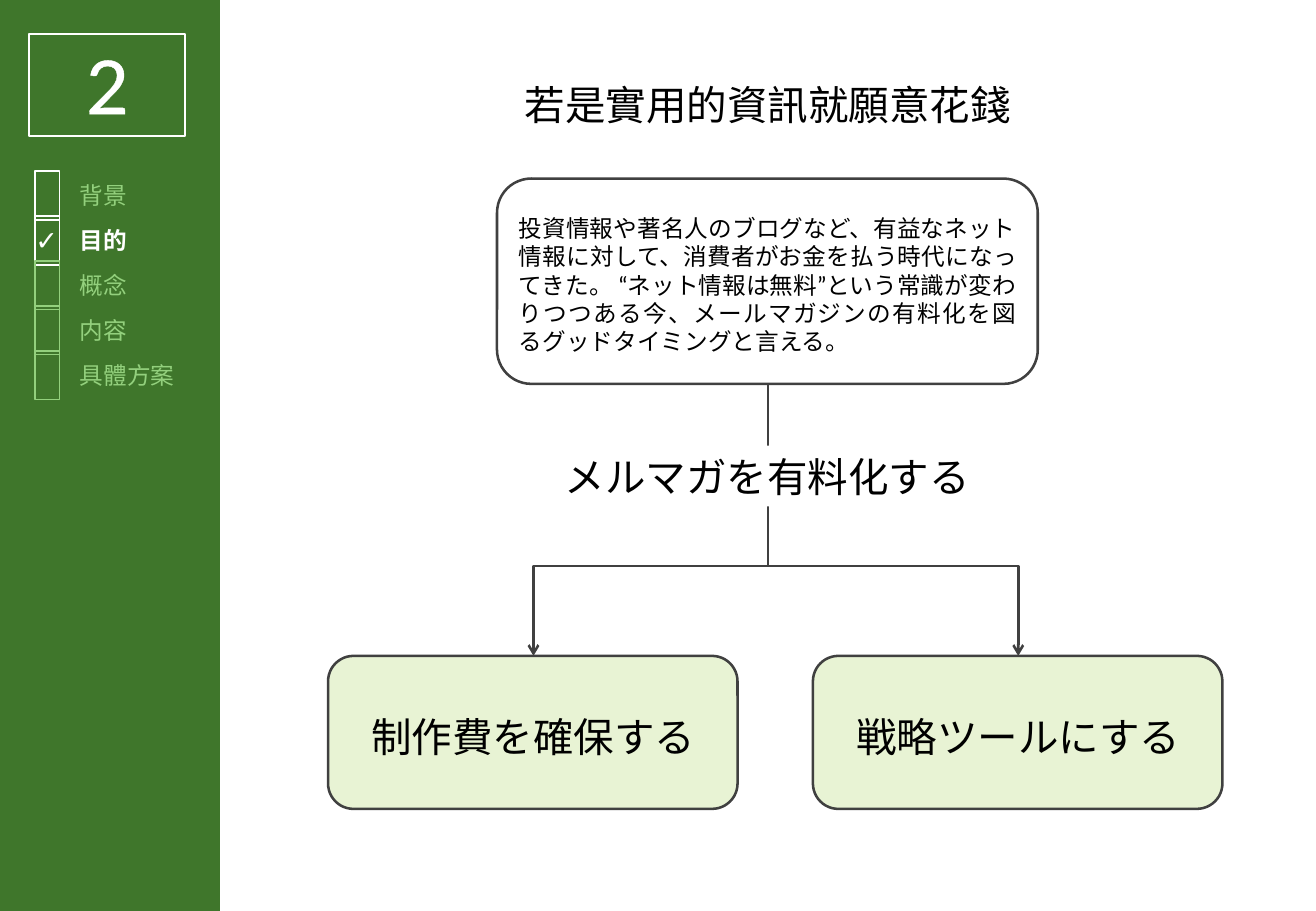
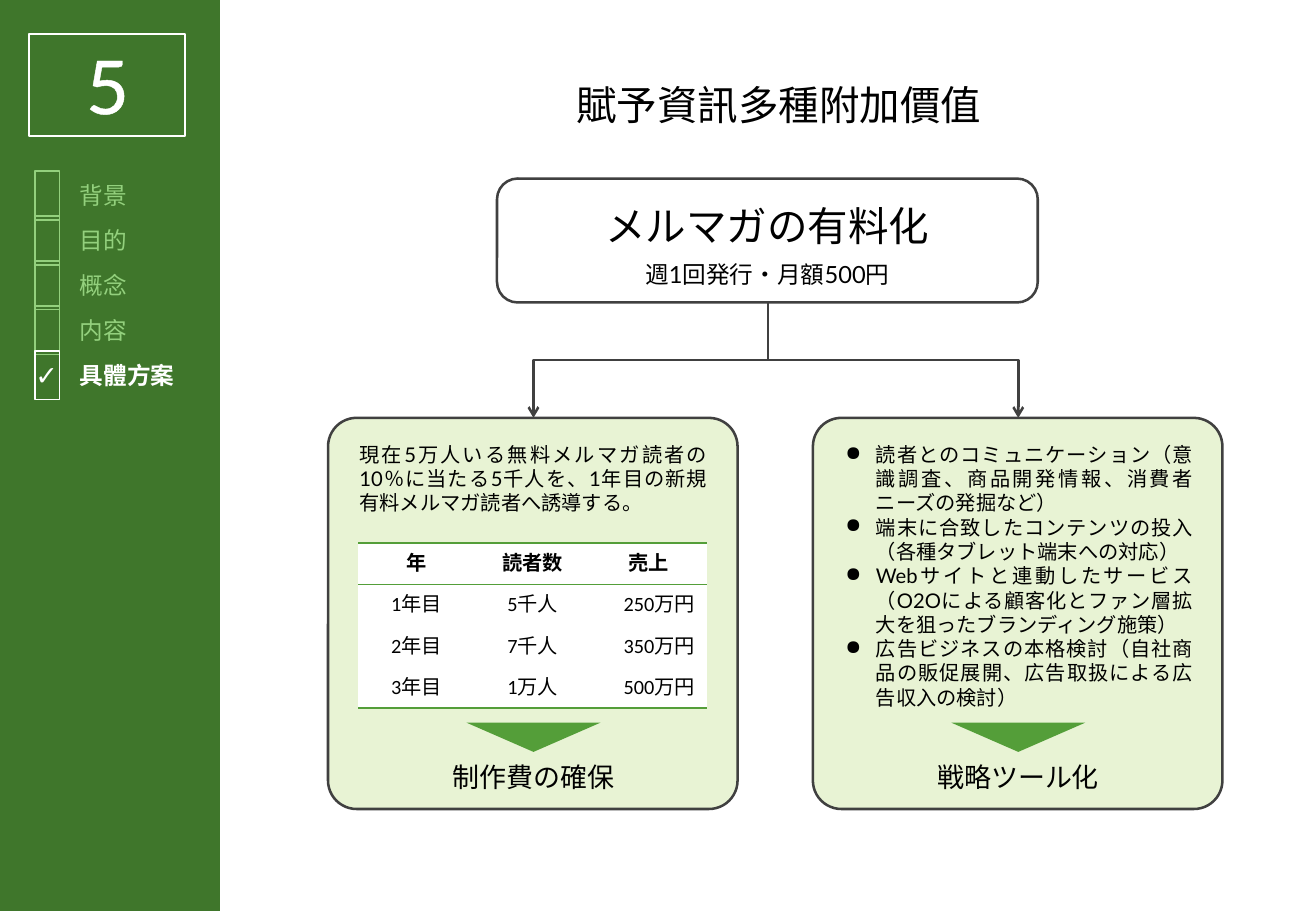
from lxml import etree
from pptx import Presentation
from pptx.dml.color import RGBColor
from pptx.enum.shapes import MSO_CONNECTOR, MSO_SHAPE
from pptx.enum.text import MSO_ANCHOR, MSO_AUTO_SIZE, PP_ALIGN
from pptx.oxml.ns import qn
from pptx.util import Inches, Pt

WHITE, BLACK, GRAY = "FFFFFF", "000000", "404040"
BAND, ACCENT, FADED, PALE = "3F762B", "549E39", "93D07D", "E8F3D4"
LATO, CALIBRI, TITLE_FONT = "Lato", "Calibri", "Noto Sans CJK JP"
NO_STYLE = "{2D5ABB26-0587-4C30-8999-92F81FD0307C}"

STEPS = ["背景", "目的", "概念", "内容", "具體方案"]
STEP_TOP, STEP_PITCH = 1.41, 0.37

TRUNK_X = 6.32
TOP_LEFT, TOP_Y, TOP_WIDTH = 4.09, 1.47, 4.45
BRANCH_LEFTS, BRANCH_WIDTH, BRANCH_BOTTOM = (2.7, 6.69), 3.37, 6.66

PURPOSE = {
    "number": "2", "title": "若是實用的資訊就願意花錢", "title_center": 6.32,
    "step": 1, "white_boxes": {0, 1},
    "reason": "投資情報や著名人のブログなど、有益なネット情報に対して、消費者がお金を払う時代になってきた。"
              " “ネット情報は無料”という常識が変わりつつある今、メールマガジンの有料化を図る"
              "グッドタイミングと言える。",
    "decision": "メルマガを有料化する",
    "goals": ["制作費を確保する", "戦略ツールにする"],
}
PLAN = {
    "number": "5", "title": "賦予資訊多種附加價值", "title_center": 6.41,
    "step": 4, "white_boxes": {4},
    "decision": "メルマガの有料化",
    "terms": "週1回発行・月額500円",
    "target": "現在5万人いる無料メルマガ読者の10％に当たる5千人を、1年目の新規有料メルマガ読者へ誘導する。",
    "sales": [
        ("年", "読者数", "売上"),
        ("1年目", "5千人", "250万円"),
        ("2年目", "7千人", "350万円"),
        ("3年目", "1万人", "500万円"),
    ],
    "tactics": [
        "読者とのコミュニケーション（意識調査、商品開発情報、消費者ニーズの発掘など）",
        "端末に合致したコンテンツの投入（各種タブレット端末への対応）",
        "Webサイトと連動したサービス（O2Oによる顧客化とファン層拡大を狙ったブランディング施策）",
        "広告ビジネスの本格検討（自社商品の販促展開、広告取扱による広告収入の検討）",
    ],
    "results": ["制作費の確保", "戦略ツール化"],
}


def rgb(color):
    return RGBColor.from_string(color)


def add_child(parent, tag, **attributes):
    return etree.SubElement(parent, qn(tag), attributes)


def add_line_xml(parent, tag, color, width):
    line = add_child(parent, tag, w=str(Pt(width)))
    add_child(add_child(line, "a:solidFill"), "a:srgbClr", val=color)
    return line


def format_paragraph(paragraph, size, color=BLACK, font=LATO, bold=False, align=PP_ALIGN.CENTER):
    paragraph.alignment = align
    for run in paragraph.runs:
        run.font.size, run.font.bold, run.font.name = Pt(size), bold, font
        run.font.color.rgb = rgb(color)
        add_child(run.font._element, "a:ea", typeface=font)


def add_text(slide, box, lines, size, bullet=None, **style):
    frame = slide.shapes.add_textbox(*map(Inches, box)).text_frame
    frame.word_wrap = True
    frame.text = lines if isinstance(lines, str) else "\n".join(lines)
    for paragraph in frame.paragraphs:
        if bullet:
            properties = paragraph._p.get_or_add_pPr()
            properties.set("marL", str(Inches(0.25)))
            properties.set("indent", str(Inches(-0.25)))
            add_child(properties, "a:buChar", char=bullet)
        format_paragraph(paragraph, size, **style)
    return frame


def add_box(slide, box, kind=MSO_SHAPE.RECTANGLE, fill=None, line=None, width=1.0, radius=None):
    shape = slide.shapes.add_shape(kind, *map(Inches, box))
    shape.shadow.inherit = False
    if fill:
        shape.fill.solid()
        shape.fill.fore_color.rgb = rgb(fill)
    else:
        shape.fill.background()
    if line:
        shape.line.color.rgb, shape.line.width = rgb(line), Pt(width)
    else:
        shape.line.fill.background()
    if radius is not None:
        shape.adjustments[0] = radius
    return shape


def add_panel(slide, box, fill=None, radius=None):
    add_box(slide, box, MSO_SHAPE.ROUNDED_RECTANGLE, fill, GRAY, 1.5, radius)


def add_branch_arrow(slide, start, end, bend):
    """Elbow arrow that goes down, sideways at the share `bend` of the drop, then down."""
    (x1, y1), (x2, y2) = start, end
    drop, reach = y2 - y1, abs(x2 - x1)
    left, top = (x1 + x2 - drop) / 2, (y1 + y2 - reach) / 2
    ends, turn = (left, left + drop), 90
    if x2 > x1:
        ends, turn = ends[::-1], 270
    arrow = slide.shapes.add_connector(
        MSO_CONNECTOR.ELBOW, Inches(ends[0]), Inches(top), Inches(ends[1]), Inches(top + reach))
    arrow.line.color.rgb, arrow.line.width = rgb(GRAY), Pt(1.5)
    properties = arrow._element.spPr
    properties.find(qn("a:xfrm")).set("rot", str(turn * 60000))
    geometry = properties.find(qn("a:prstGeom"))
    guides = geometry.find(qn("a:avLst"))
    if guides is None:
        guides = add_child(geometry, "a:avLst")
    add_child(guides, "a:gd", name="adj1", fmla=f"val {round(bend * 100000)}")
    add_child(properties.find(qn("a:ln")), "a:tailEnd", type="arrow")
    add_child(properties, "a:effectLst")


def add_branches(slide, top_bottom, branch_top, bend, radius=None):
    for left, tip_x in zip(BRANCH_LEFTS, (4.39, 8.38)):
        add_panel(slide, (left, branch_top, BRANCH_WIDTH, BRANCH_BOTTOM - branch_top), PALE, radius)
        add_branch_arrow(slide, (TRUNK_X, top_bottom), (tip_x, branch_top), bend)
    add_panel(slide, (TOP_LEFT, TOP_Y, TOP_WIDTH, top_bottom - TOP_Y))


def add_sidebar(slide, content):
    add_box(slide, (0, 0, 1.81, 7.5), fill=BAND)
    add_box(slide, (0.24, 0.28, 1.28, 0.84), line=WHITE)
    number = add_text(slide, (0.49, 0.28, 0.79, 0.84), content["number"], 44, color=WHITE)
    run_properties = number.paragraphs[0].runs[0].font._element
    run_properties.insert(0, add_line_xml(run_properties, "a:ln", WHITE, 0.75))
    for index, step in enumerate(STEPS):
        top = STEP_TOP + index * STEP_PITCH
        current = index == content["step"]
        add_text(slide, (0.56, top + 0.03, 1.18, 0.34), step, 14,
                 color=WHITE if current else FADED, bold=current, align=PP_ALIGN.LEFT)
        add_box(slide, (0.29, top, 0.2, 0.4),
                line=WHITE if index in content["white_boxes"] else FADED)
        if current:
            add_text(slide, (0.17, top + 0.01, 0.43, 0.37), "✓", 16, color=WHITE, bold=True)


def start_slide(deck, content):
    slide = deck.slides.add_slide(deck.slide_layouts[5])
    title = slide.shapes.title
    title.left, title.top = Inches(content["title_center"] - 2.7), Inches(0.61)
    title.width, title.height = Inches(5.4), Inches(0.5)
    frame = title.text_frame
    frame.text = content["title"]
    frame.word_wrap, frame.auto_size = True, MSO_AUTO_SIZE.NONE
    frame.vertical_anchor = MSO_ANCHOR.MIDDLE
    format_paragraph(frame.paragraphs[0], 24, font=TITLE_FONT)
    add_sidebar(slide, content)
    return slide


def add_sales_table(slide, sales):
    frame = slide.shapes.add_table(
        len(sales), len(sales[0]), Inches(2.95), Inches(4.47), Inches(2.87), Inches(1.36))
    table = frame.table
    table.horz_banding = False
    table._tbl.tblPr.find(qn("a:tableStyleId")).text = NO_STYLE
    for r, row in enumerate(sales):
        for c, value in enumerate(row):
            cell = table.cell(r, c)
            properties = cell._tc.get_or_add_tcPr()
            if r == 0:
                add_line_xml(properties, "a:lnT", ACCENT, 1)
            if r in (0, len(sales) - 1):
                add_line_xml(properties, "a:lnB", ACCENT, 1)
            cell.fill.solid()
            cell.fill.fore_color.rgb = rgb(WHITE)
            cell.vertical_anchor = MSO_ANCHOR.MIDDLE
            cell.text = value
            amount = r > 0 and c == len(row) - 1
            format_paragraph(cell.text_frame.paragraphs[0], 12, font=CALIBRI, bold=r == 0,
                             align=PP_ALIGN.RIGHT if amount else PP_ALIGN.CENTER)


def build_purpose(deck):
    slide = start_slide(deck, PURPOSE)
    add_branches(slide, top_bottom=3.16, branch_top=5.4, bend=0.67)
    add_text(slide, (4.17, 1.71, 4.29, 1.28), PURPOSE["reason"], 14, align=PP_ALIGN.JUSTIFY)
    decision_box = (4.54, 3.67, 3.55, 0.5)
    add_box(slide, decision_box, fill=WHITE)
    add_text(slide, decision_box, PURPOSE["decision"], 24)
    for left, goal in zip(BRANCH_LEFTS, PURPOSE["goals"]):
        add_text(slide, (left + 0.16, 5.81, 3.06, 0.5), goal, 24)


def build_plan(deck):
    slide = start_slide(deck, PLAN)
    add_branches(slide, top_bottom=2.49, branch_top=3.44, bend=0.5, radius=0.073)
    add_text(slide, (4.54, 1.61, 3.55, 0.5), PLAN["decision"], 24)
    add_text(slide, (4.84, 2.09, 2.95, 0.34), PLAN["terms"], 14)
    add_text(slide, (2.86, 3.59, 3.06, 0.71), PLAN["target"], 12, align=PP_ALIGN.JUSTIFY)
    add_sales_table(slide, PLAN["sales"])
    add_text(slide, (6.86, 3.59, 3.06, 2.32), PLAN["tactics"], 12, bullet="●",
             align=PP_ALIGN.JUSTIFY)
    for left, result in zip(BRANCH_LEFTS, PLAN["results"]):
        pointer = add_box(slide, (left + 1.14, 5.95, 1.1, 0.24), MSO_SHAPE.ISOSCELES_TRIANGLE, ACCENT)
        pointer.rotation = 180
        add_text(slide, (left + 0.69, 6.21, 2, 0.37), result, 16)


def main():
    deck = Presentation()
    deck.slide_width, deck.slide_height = Inches(10.83), Inches(7.5)
    build_purpose(deck)
    build_plan(deck)
    deck.save("out.pptx")


if __name__ == "__main__":
    main()
